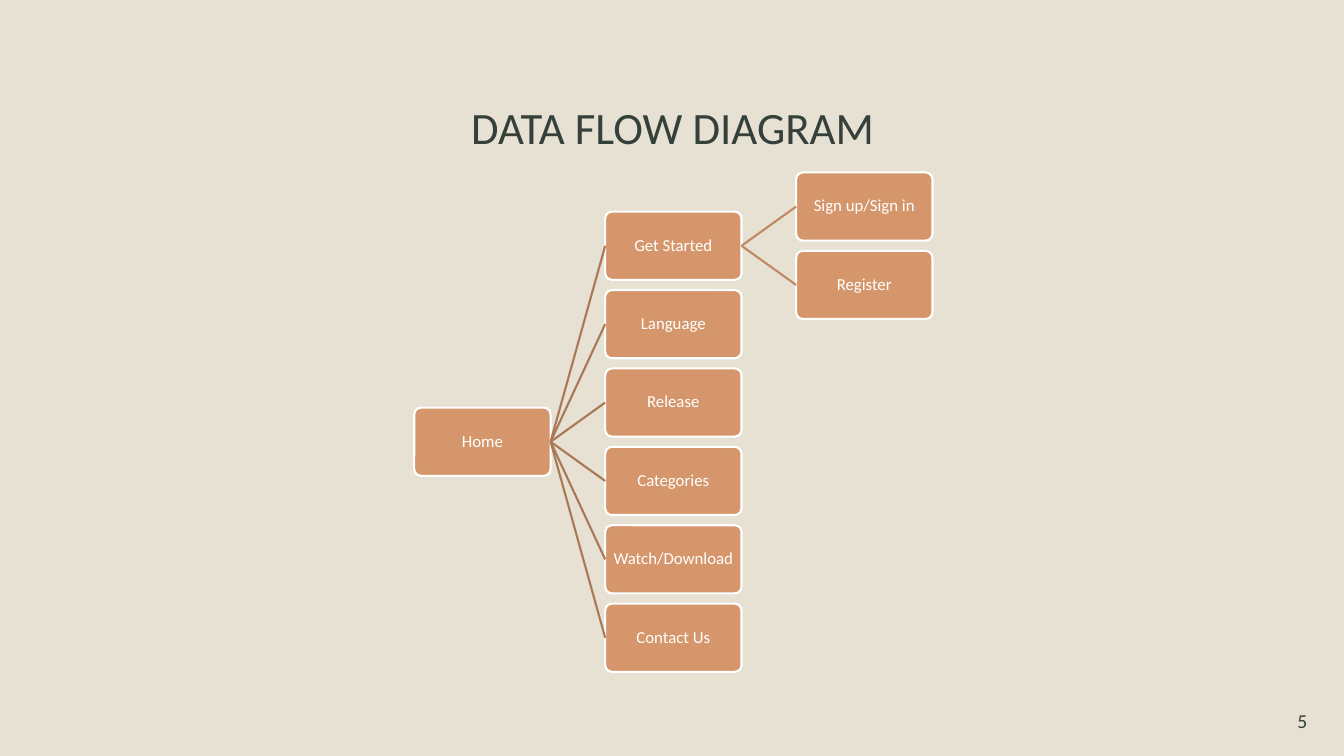
from pptx import Presentation
from pptx.dml.color import RGBColor
from pptx.enum.shapes import MSO_CONNECTOR, MSO_SHAPE
from pptx.enum.text import MSO_ANCHOR, MSO_AUTO_SIZE, PP_ALIGN
from pptx.oxml.ns import qn
from pptx.util import Pt
from lxml import etree

STRAIGHT = MSO_CONNECTOR.STRAIGHT
ROUNDED = MSO_SHAPE.ROUNDED_RECTANGLE
MIDDLE, BOTTOM = MSO_ANCHOR.MIDDLE, MSO_ANCHOR.BOTTOM
CENTER, RIGHT = PP_ALIGN.CENTER, PP_ALIGN.RIGHT
NO_FIT = MSO_AUTO_SIZE.NONE

FONT = "Calibri"
BACKGROUND, INK, WHITE = "E6E1D3", "35403A", "FFFFFF"
BOX_FILL, FIRST_LINK, SECOND_LINK = "D5966B", "AB7856", "C18861"

BOX_WIDTH, BOX_HEIGHT = 97.4, 48.7
COLUMN_LEFT, COLUMN_STEP = 295.9, 136.4
FIRST_TOP, ROW_STEP = 151.2, 56

PAGES = ["Get Started", "Language", "Release", "Categories", "Watch/Download", "Contact Us"]
ACCOUNT_PAGES = ["Sign up/Sign in", "Register"]


def color(value):
    return RGBColor.from_string(value)


def write_text(shape, text, size, ink=INK, align=CENTER, anchor=MIDDLE, inset=7.2, spacing=1.0):
    frame = shape.text_frame
    frame.text = text
    frame.word_wrap = True
    frame.auto_size = NO_FIT
    frame.vertical_anchor = anchor
    frame.margin_left = frame.margin_right = Pt(inset)
    frame.margin_top = frame.margin_bottom = Pt(inset / 2)
    paragraph = frame.paragraphs[0]
    paragraph.alignment = align
    paragraph.line_spacing = spacing
    paragraph.font.name = FONT
    paragraph.font.size = Pt(size)
    paragraph.font.color.rgb = color(ink)


def add_title(slide, text):
    title = slide.shapes.title
    title.left, title.top, title.width, title.height = Pt(69), Pt(49), Pt(823), Pt(64)
    write_text(title, text, 32, anchor=BOTTOM)


def add_page_number(slide, text):
    box = slide.shapes.add_textbox(Pt(900), Pt(500.4), Pt(41), Pt(28.8))
    write_text(box, text, 14, align=RIGHT)


def add_box(slide, text, column, row):
    left = COLUMN_LEFT + column * COLUMN_STEP
    top = FIRST_TOP + row * ROW_STEP
    box = slide.shapes.add_shape(ROUNDED, Pt(left), Pt(top), Pt(BOX_WIDTH), Pt(BOX_HEIGHT))
    box.shadow.inherit = False
    box.adjustments[0] = 0.1
    box.fill.solid()
    box.fill.fore_color.rgb = color(BOX_FILL)
    box.line.color.rgb = color(WHITE)
    box.line.width = Pt(1.5)
    write_text(box, text, 12, ink=WHITE, inset=2, spacing=0.9)
    return box


def add_link(slide, parent, child, line_color):
    link = slide.shapes.add_connector(STRAIGHT, 0, 0, 0, 0)
    link.begin_connect(parent, 3)
    link.end_connect(child, 1)
    link.line.color.rgb = color(line_color)
    link.line.width = Pt(1.5)
    etree.SubElement(link._element.spPr, qn("a:effectLst"))


def add_children(slide, parent, labels, column, center_row, line_color):
    first_row = center_row - (len(labels) - 1) / 2
    children = []
    for index, label in enumerate(labels):
        child = add_box(slide, label, column, first_row + index)
        add_link(slide, parent, child, line_color)
        children.append(child)
    return children


def main():
    presentation = Presentation()
    presentation.slide_width, presentation.slide_height = Pt(960), Pt(540)
    slide = presentation.slides.add_slide(presentation.slide_layouts[5])
    slide.background.fill.solid()
    slide.background.fill.fore_color.rgb = color(BACKGROUND)
    add_title(slide, "DATA FLOW DIAGRAM")
    add_page_number(slide, "5")
    home_row = (len(PAGES) - 1) / 2
    home = add_box(slide, "Home", 0, home_row)
    pages = add_children(slide, home, PAGES, 1, home_row, FIRST_LINK)
    add_children(slide, pages[0], ACCOUNT_PAGES, 2, 0, SECOND_LINK)
    presentation.save("out.pptx")


if __name__ == "__main__":
    main()
